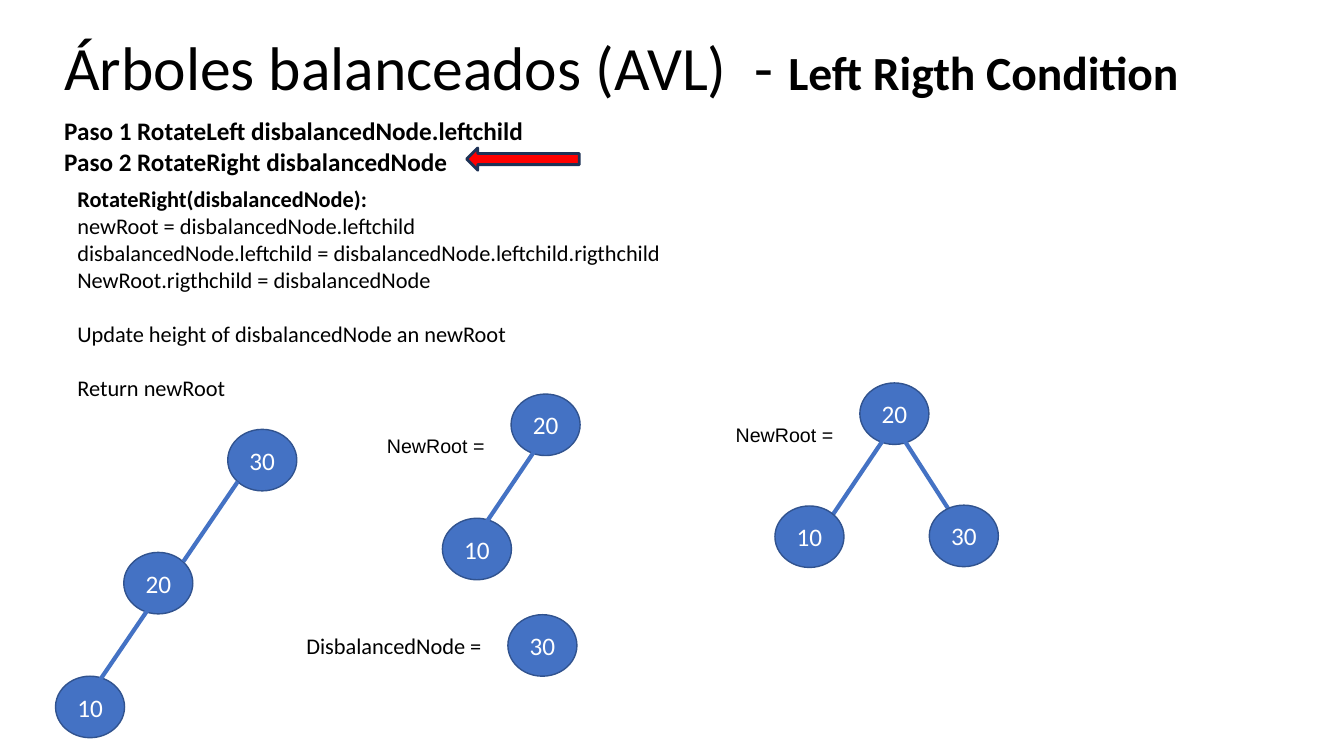
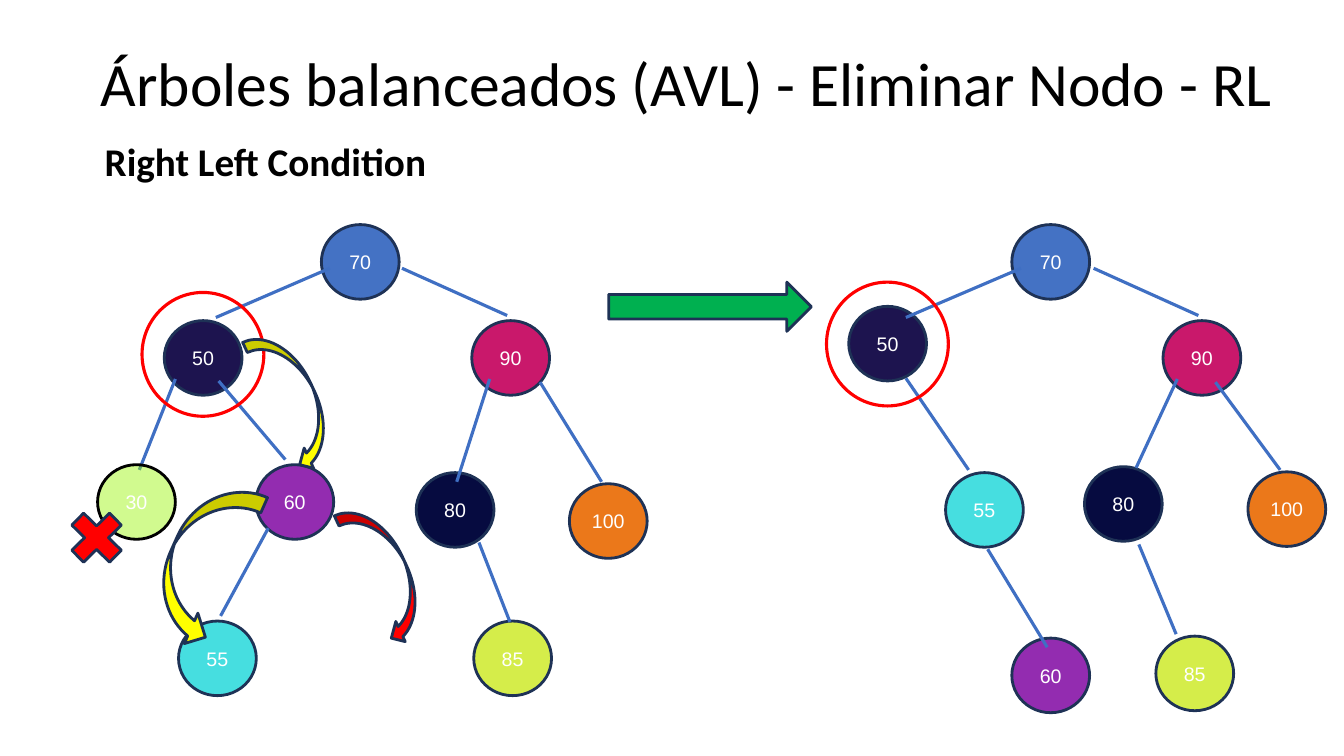
from lxml import etree
from pptx import Presentation
from pptx.dml.color import RGBColor
from pptx.enum import shapes, text
from pptx.oxml.ns import qn
from pptx.util import Cm, Pt

COLORS = {
    "black": "000000",
    "white": "FFFFFF",
    "blue": "4472C4",
    "blue_line": "31538F",
    "edge": "3F6FC3",
    "outline": "1E3256",
    "red": "FF0000",
    "green": "00B050",
    "yellow": "FFFF00",
    "pink": "C9186B",
    "navy": "060B40",
    "purple": "932CB0",
    "indigo": "1D144F",
    "cyan": "46DEE0",
    "orange": "EB781A",
    "lime": "D5ED4A",
    "leaf": "9CF50C",
}
KIND = shapes.MSO_SHAPE
CENTER = text.PP_ALIGN.CENTER
MIDDLE = text.MSO_ANCHOR.MIDDLE


def add_figure(page, kind, frame, fill, line, weight, rotation=0):
    figure = page.shapes.add_shape(kind, *[Cm(value) for value in frame])
    figure.shadow.inherit = False
    figure.rotation = rotation
    if fill:
        figure.fill.solid()
        figure.fill.fore_color.rgb = RGBColor.from_string(COLORS[fill])
    else:
        figure.fill.background()
    figure.line.color.rgb = RGBColor.from_string(COLORS[line])
    figure.line.width = Pt(weight)
    return figure


def write(box, lines, size, bold=False, font="Calibri", color="black"):
    frame = box.text_frame
    frame.word_wrap = True
    frame.text = "\n".join(lines)
    for para in frame.paragraphs:
        for span in para.runs:
            span.font.size = Pt(size)
            span.font.bold = bold
            span.font.name = font
            span.font.color.rgb = RGBColor.from_string(COLORS[color])
    return frame


deck = Presentation()
deck.slide_width, deck.slide_height = Cm(33.87), Cm(19.05)

rotation_step = {
    "title": ["Árboles balanceados (AVL)  - ", "Left Rigth Condition"],
    "title_frame": (1.37, 0.38, 29.21, 2.79),
    "node": {"kind": KIND.OVAL, "size": (1.74, 1.55), "line": "blue_line",
             "weight": 1, "font": "Calibri", "points": 18},
    "fills": {},
    "edge": ("blue", 3),
    "layers": [
        (
            [(30, 5.74, 10.82), (20, 3.12, 13.92), (10, 1.4, 17.04),
             (20, 12.88, 9.93), (10, 11.15, 13.06), (30, 12.8, 15.49),
             (20, 21.67, 9.65)],
            [(5.99, 12.14, 4.62, 14.15), (3.81, 15.24, 2.44, 17.25),
             (13.56, 11.23, 12.19, 13.26), (22.35, 10.95, 20.98, 12.98),
             (22.76, 11.05, 24.18, 13.26)],
        ),
        ([(10, 19.53, 12.75), (30, 23.42, 12.73)], []),
    ],
    "figures": [
        (KIND.LEFT_ARROW, (11.76, 3.73, 2.84, 0.56), "red", "outline", 2, 0),
    ],
    "texts": [
        ((1.37, 2.79, 16.87, 1.8),
         ["Paso 1 RotateLeft disbalancedNode.leftchild",
          "Paso 2 RotateRight disbalancedNode"], 18, True, "Calibri"),
        ((1.7, 4.55, 16.87, 0.94), ["RotateRight(disbalancedNode):"], 16, True, "Calibri"),
        ((1.7, 5.23, 16.87, 5.2),
         ["newRoot = disbalancedNode.leftchild",
          "disbalancedNode.leftchild = disbalancedNode.leftchild.rigthchild",
          "NewRoot.rigthchild = disbalancedNode",
          "Update height of disbalancedNode an newRoot",
          "Return newRoot"], 16, False, "Calibri"),
        ((9.5, 10.82, 4.24, 0.86), ["NewRoot ="], 14, False, "Arial"),
        ((18.29, 10.54, 4.24, 0.86), ["NewRoot ="], 14, False, "Arial"),
        ((7.47, 15.8, 5.33, 0.94), ["DisbalancedNode ="], 16, False, "Calibri"),
    ],
    "spaced": ("Update", "Return"),
}

node_removal = {
    "title": ["Árboles balanceados (AVL) - Eliminar Nodo - RL"],
    "title_frame": (2.29, 0.33, 30.66, 3.68),
    "node": {"kind": KIND.FLOWCHART_CONNECTOR, "size": (1.96, 1.88), "line": "outline",
             "weight": 2, "font": "Arial", "points": 14},
    "fills": {90: "pink", 80: "navy", 60: "purple", 50: "indigo", 55: "cyan",
              100: "orange", 85: "lime", 30: "leaf"},
    "edge": ("edge", 2.25),
    "layers": [
        (
            [(70, 8.1, 5.66), (90, 11.89, 8.08), (80, 10.49, 11.91),
             (60, 6.45, 11.71), (50, 4.14, 8.08), (55, 4.5, 15.65),
             (100, 14.35, 12.19), (85, 11.94, 15.65)],
            [(8.31, 6.76, 5.44, 8), (4.42, 9.55, 3.51, 11.84),
             (5.51, 9.6, 7.19, 11.58), (10.13, 6.76, 12.78, 7.95),
             (12.34, 9.55, 11.51, 12.14), (13.61, 9.63, 15.16, 12.14),
             (12.07, 13.67, 12.85, 15.67), (6.76, 13.31, 5.56, 15.52),
             (22.83, 9.53, 24.41, 11.84)],
        ),
        (
            [(30, 2.46, 11.71), (70, 25.5, 5.66), (90, 29.31, 8.08),
             (80, 27.33, 11.76), (50, 21.39, 7.72), (55, 23.83, 11.91),
             (100, 31.45, 11.89), (60, 25.5, 16.08), (85, 29.13, 16.03)],
            [(25.73, 6.76, 22.83, 8), (27.56, 6.76, 30.2, 7.95),
             (29.67, 9.55, 28.63, 11.79), (30.63, 9.63, 32.26, 11.84),
             (28.7, 13.72, 29.64, 15.98), (24.89, 13.84, 26.39, 16.31)],
        ),
    ],
    "figures": [
        (KIND.RIGHT_ARROW, (15.34, 7.11, 5.11, 1.24), "green", "outline", 2, 0),
        (KIND.MATH_MULTIPLY, (1.52, 12.65, 1.83, 1.8), "red", "outline", 2, 0),
        (KIND.OVAL, (3.58, 7.37, 3.07, 3.12), None, "red", 2.25, 0),
        (KIND.OVAL, (20.83, 7.11, 3.07, 3.12), None, "red", 2.25, 0),
        (KIND.CURVED_DOWN_ARROW, (5.56, 9.5, 3.68, 1.12), "yellow", "outline", 2, 65),
        (KIND.CURVED_UP_ARROW, (2.97, 13.31, 4.27, 1.68), "yellow", "outline", 2, 114),
        (KIND.CURVED_DOWN_ARROW, (7.87, 13.87, 3.68, 1.12), "red", "outline", 2, 65),
    ],
    "texts": [
        ((2.39, 3.33, 16.23, 1.45), ["Right Left Condition"], 28, True, "Calibri"),
    ],
    "spaced": (),
}

for content in (rotation_step, node_removal):
    page = deck.slides.add_slide(deck.slide_layouts[6])

    title_box = page.shapes.add_textbox(*[Cm(value) for value in content["title_frame"]])
    title = write(title_box, content["title"][:1], 44)
    title.vertical_anchor = MIDDLE
    title.paragraphs[0].line_spacing = 0.9
    for subtitle in content["title"][1:]:
        span = title.paragraphs[0].add_run()
        span.text = subtitle
        span.font.size = Pt(34)
        span.font.bold = True
        span.font.name = "Calibri"
        span.font.color.rgb = RGBColor.from_string(COLORS["black"])

    style = content["node"]
    edge_color, edge_weight = content["edge"]
    for nodes, edges in content["layers"]:
        for value, left, top in nodes:
            fill = content["fills"].get(value, "blue")
            line = "black" if fill == "leaf" else style["line"]
            node = add_figure(page, style["kind"], (left, top, *style["size"]),
                              fill, line, style["weight"])
            label = write(node, [str(value)], style["points"], font=style["font"], color="white")
            label.word_wrap = False
            label.vertical_anchor = MIDDLE
            label.paragraphs[0].alignment = CENTER
            if fill == "leaf":
                tint = node._element.spPr.find(qn("a:solidFill"))[0]
                etree.SubElement(tint, qn("a:alpha")).set("val", "46000")
        for ends in edges:
            edge = page.shapes.add_connector(shapes.MSO_CONNECTOR.STRAIGHT,
                                             *[Cm(value) for value in ends])
            edge.line.color.rgb = RGBColor.from_string(COLORS[edge_color])
            edge.line.width = Pt(edge_weight)
            etree.SubElement(edge._element.spPr, qn("a:effectLst"))

    for figure in content["figures"]:
        add_figure(page, *figure)

    for frame, lines, size, bold, font in content["texts"]:
        box = page.shapes.add_textbox(*[Cm(value) for value in frame])
        for para in write(box, lines, size, bold, font).paragraphs:
            if para.text.startswith(content["spaced"]):
                para.space_before = Pt(19.5)

deck.save("out.pptx")
